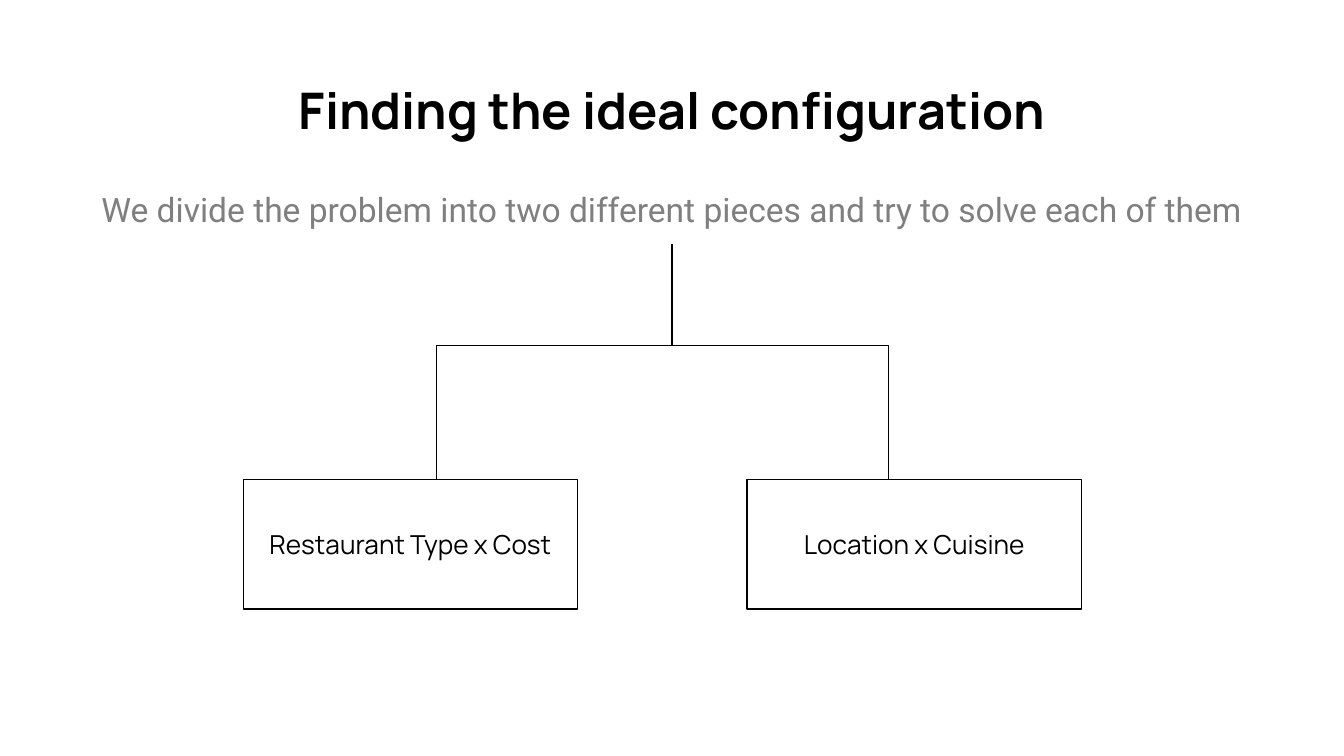
"""Build a slide that splits one problem into two boxed pieces."""
from lxml import etree
from pptx import Presentation
from pptx.dml.color import RGBColor
from pptx.enum import shapes, text
from pptx.oxml import ns
from pptx.util import Cm, Pt

HEADINGS = [
    dict(words="Finding the ideal configuration", top=1.24, height=1.73,
         font="Manrope", size=27, color="000000", bold=True),
    dict(words="We divide the problem into two different pieces and try to solve each of them",
         top=3.2, height=1.42, font="Roboto", size=18, color="7F7F7F",
         line_spacing=1.15, space_after=12),
]
PIECES = [("Restaurant Type x Cost", 4.6, 8.25), ("Location x Cuisine", 14.12, 16.79)]

SLIDE_WIDTH, SLIDE_HEIGHT = 25.4, 14.29
HEADING_LEFT = 0.86
PIECE_TOP, PIECE_WIDTH, PIECE_HEIGHT = 9.07, 6.32, 2.44
STEM_X, STEM_TOP, BRANCH_Y = SLIDE_WIDTH / 2, 4.62, 6.54
INSET = 0.25


def rgb(color):
    return RGBColor.from_string(color)


def outline(part):
    part.line.color.rgb = rgb("000000")
    part.line.width = Pt(0.75)


def write(part, words, font, size, color="000000", bold=False,
          anchor=text.MSO_ANCHOR.TOP, line_spacing=None, space_after=None):
    frame = part.text_frame
    frame.word_wrap = True
    frame.vertical_anchor = anchor
    frame.margin_left = frame.margin_right = Cm(INSET)
    frame.margin_top = frame.margin_bottom = Cm(INSET)
    paragraph = frame.paragraphs[0]
    paragraph.text = words
    paragraph.alignment = text.PP_ALIGN.CENTER
    if line_spacing:
        paragraph.line_spacing = line_spacing
    if space_after:
        paragraph.space_after = Pt(space_after)
    paragraph.font.name = font
    paragraph.font.size = Pt(size)
    paragraph.font.bold = bold
    paragraph.font.color.rgb = rgb(color)


def add_branch(slide, end_x):
    """Draw an elbow down from the stem, as a sideways elbow turned by 90 degrees."""
    drop, shift = PIECE_TOP - STEM_TOP, STEM_X - end_x
    middle_x, middle_y = (STEM_X + end_x) / 2, (STEM_TOP + PIECE_TOP) / 2
    branch = slide.shapes.add_connector(
        shapes.MSO_CONNECTOR.ELBOW,
        Cm(middle_x - drop / 2), Cm(middle_y - shift / 2),
        Cm(middle_x + drop / 2), Cm(middle_y + shift / 2))
    outline(branch)
    properties = branch._element.spPr
    properties.find(ns.qn("a:xfrm")).set("rot", str(90 * 60000))
    bend = round((BRANCH_Y - STEM_TOP) / drop * 100000)
    guides = properties.find(ns.qn("a:prstGeom")).find(ns.qn("a:avLst"))
    etree.SubElement(guides, ns.qn("a:gd"), name="adj1", fmla=f"val {bend}")
    etree.SubElement(properties, ns.qn("a:effectLst"))


def add_piece(slide, words, left):
    piece = slide.shapes.add_shape(
        shapes.MSO_SHAPE.RECTANGLE, Cm(left), Cm(PIECE_TOP), Cm(PIECE_WIDTH), Cm(PIECE_HEIGHT))
    piece.shadow.inherit = False
    piece.fill.solid()
    piece.fill.fore_color.rgb = rgb("FFFFFF")
    outline(piece)
    write(piece, words, "Manrope", 14, anchor=text.MSO_ANCHOR.MIDDLE)


def main():
    deck = Presentation()
    deck.slide_width, deck.slide_height = Cm(SLIDE_WIDTH), Cm(SLIDE_HEIGHT)
    slide = deck.slides.add_slide(deck.slide_layouts[6])
    for heading in HEADINGS:
        style = dict(heading)
        top, height = style.pop("top"), style.pop("height")
        box = slide.shapes.add_textbox(
            Cm(HEADING_LEFT), Cm(top), Cm(SLIDE_WIDTH - 2 * HEADING_LEFT), Cm(height))
        write(box, **style)
    for _, _, branch_x in PIECES:
        add_branch(slide, branch_x)
    for words, left, _ in PIECES:
        add_piece(slide, words, left)
    deck.save("out.pptx")


if __name__ == "__main__":
    main()
